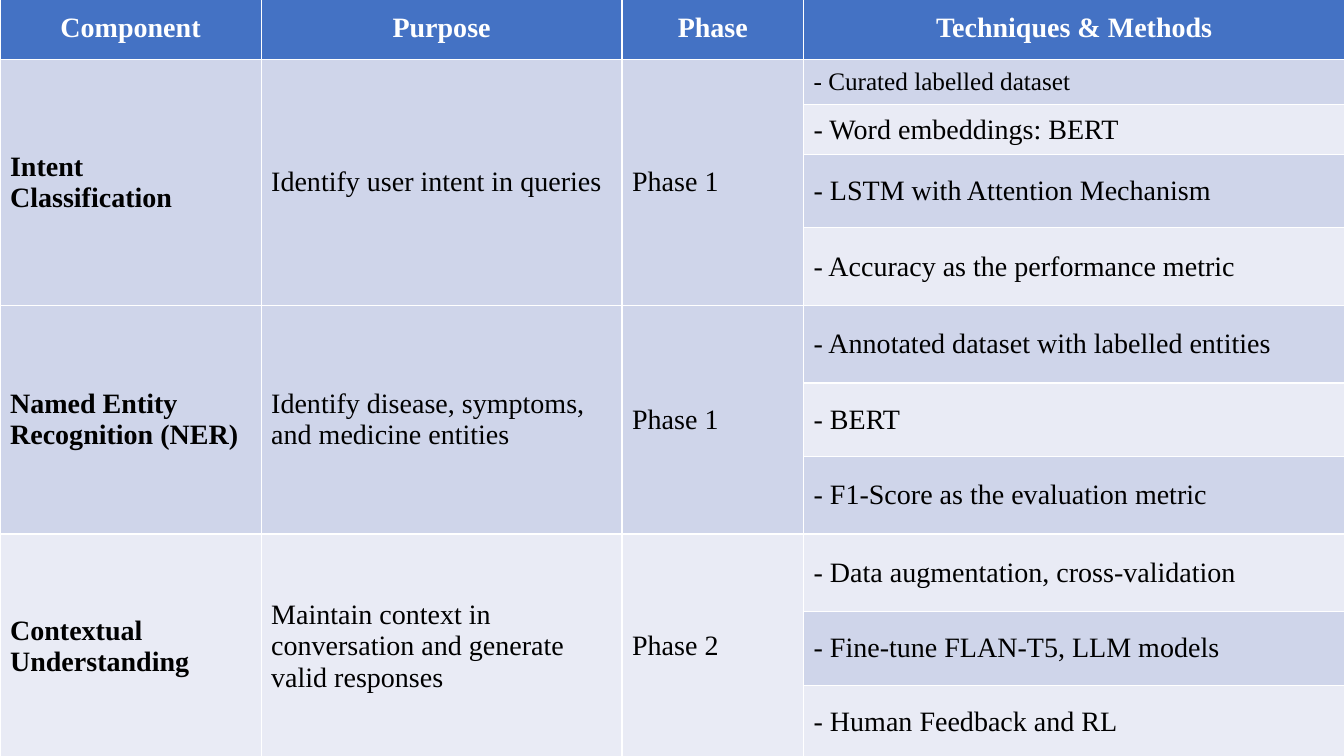
from dataclasses import dataclass

from pptx import Presentation
from pptx.dml.color import RGBColor
from pptx.enum.text import MSO_ANCHOR, PP_ALIGN
from pptx.util import Inches, Pt

HEADS = ["Component", "Purpose", "Phase", "Techniques & Methods"]
PARTS = [
    ("Intent Classification", "Identify user intent in queries", "Phase 1",
     ["Curated labelled dataset", "Word embeddings: BERT",
      "LSTM with Attention Mechanism", "Accuracy as the performance metric"]),
    ("Named Entity Recognition (NER)",
     "Identify disease, symptoms, and medicine entities", "Phase 1",
     ["Annotated dataset with labelled entities", "BERT",
      "F1-Score as the evaluation metric"]),
    ("Contextual Understanding",
     "Maintain context in conversation and generate valid responses", "Phase 2",
     ["Data augmentation, cross-validation", "Fine-tune FLAN-T5, LLM models",
      "Human Feedback and RL"]),
]
WIDTHS = [2.59, 3.58, 1.8, 5.37]
HEIGHTS = [0.63, 0.45, 0.49, 0.73, 0.77, 0.77, 0.73, 0.77, 0.77, 0.73, 0.73]
TOP = -0.04


@dataclass(frozen=True)
class Theme:
    font: str = "Times New Roman"
    size: int = 20
    small: int = 18
    head: RGBColor = RGBColor(0x44, 0x72, 0xC4)
    bands: tuple = (RGBColor(0xE9, 0xEB, 0xF5), RGBColor(0xCF, 0xD5, 0xEA))
    white: RGBColor = RGBColor(0xFF, 0xFF, 0xFF)
    black: RGBColor = RGBColor(0, 0, 0)


THEME = Theme()


def write(cell, text, color=THEME.black, bold=False, size=THEME.size, align=None):
    cell.vertical_anchor = MSO_ANCHOR.MIDDLE
    para = cell.text_frame.paragraphs[0]
    para.alignment = align
    run = para.add_run()
    run.text = text
    run.font.name = THEME.font
    run.font.size = Pt(size)
    run.font.bold = bold
    run.font.color.rgb = color


def shade(table):
    """Fill the header row, then band the body rows by turns."""
    for row in range(len(HEIGHTS)):
        for col in range(len(WIDTHS)):
            fill = table.cell(row, col).fill
            fill.solid()
            fill.fore_color.rgb = THEME.bands[row % 2] if row else THEME.head


def fill_part(table, top, part):
    """Write one component from row top on and return the next free row."""
    *labels, methods = part
    end = top + len(methods)
    for col, label in enumerate(labels):
        cell = table.cell(top, col)
        cell.merge(table.cell(end - 1, col))
        write(cell, label, bold=col == 0)
    for row, method in enumerate(methods, top):
        size = THEME.small if row == 1 else THEME.size
        write(table.cell(row, 3), f"- {method}", size=size)
    return end


def main():
    deck = Presentation()
    deck.slide_width, deck.slide_height = Inches(13.33), Inches(7.5)
    slide = deck.slides.add_slide(deck.slide_layouts[6])
    table = slide.shapes.add_table(
        len(HEIGHTS), len(WIDTHS), Inches(0), Inches(TOP),
        Inches(sum(WIDTHS)), Inches(sum(HEIGHTS))).table
    for column, width in zip(table.columns, WIDTHS):
        column.width = Inches(width)
    for row, height in zip(table.rows, HEIGHTS):
        row.height = Inches(height)
    shade(table)
    for col, head in enumerate(HEADS):
        write(table.cell(0, col), head, THEME.white, bold=True,
              align=PP_ALIGN.CENTER)
    top = 1
    for part in PARTS:
        top = fill_part(table, top, part)
    deck.save("out.pptx")


if __name__ == "__main__":
    main()
